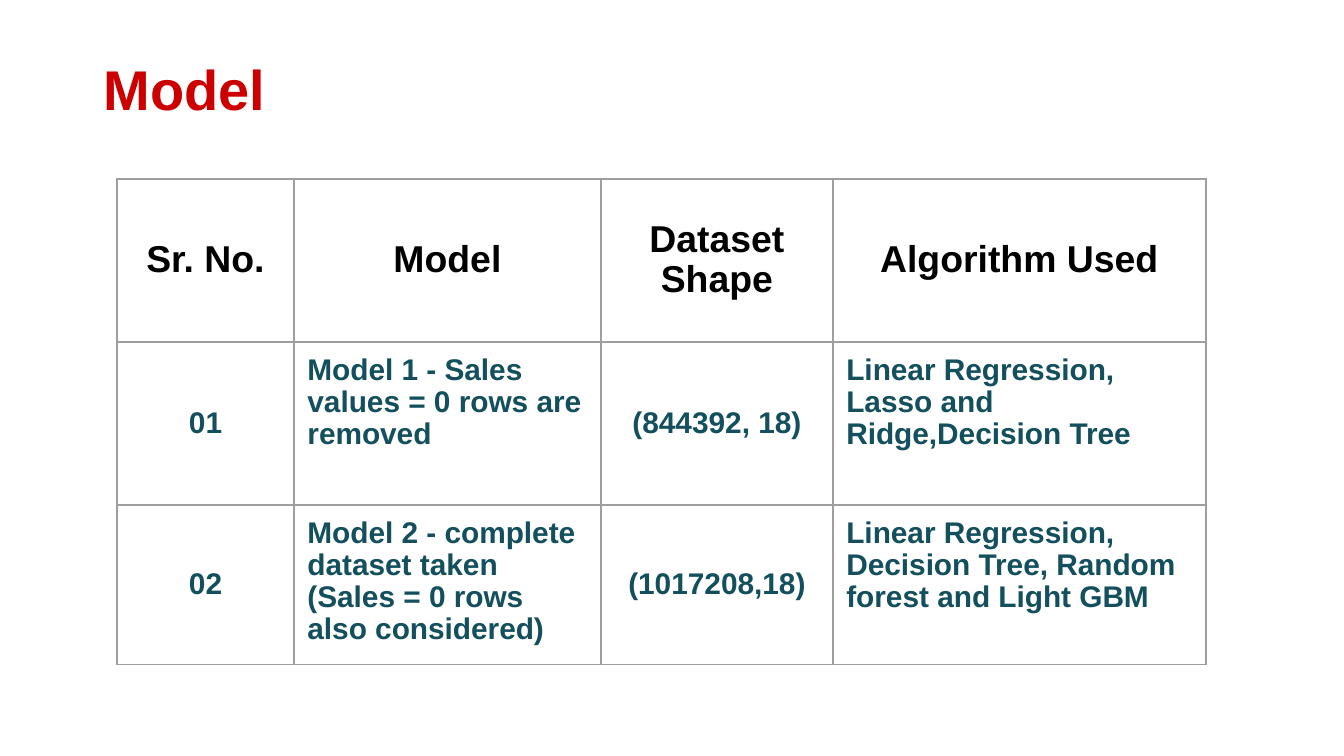
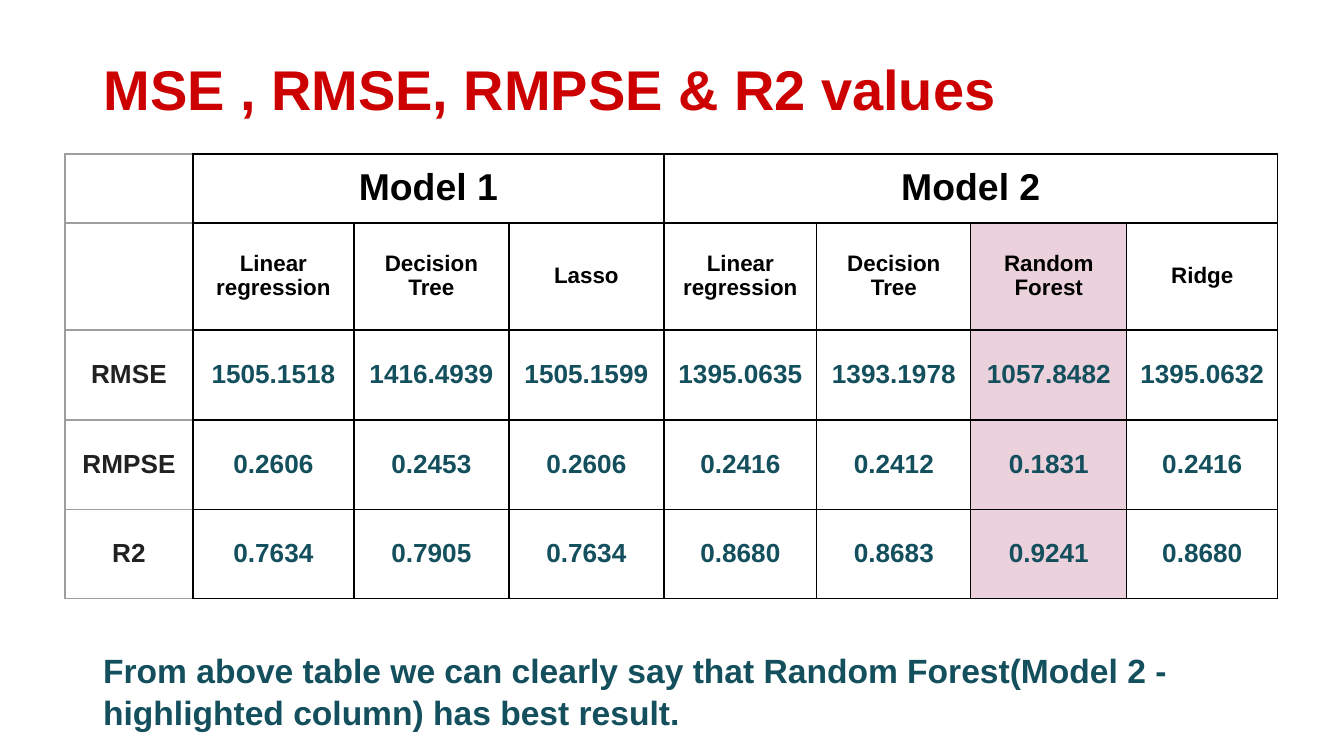
from lxml import etree
from pptx import Presentation
from pptx import util as u
from pptx.dml.color import RGBColor
from pptx.enum import text
from pptx.oxml import ns

RED = RGBColor(0xCC, 0x00, 0x00)
TEAL = RGBColor(0x13, 0x4F, 0x5C)
BLACK = RGBColor(0x00, 0x00, 0x00)
CHARCOAL = RGBColor(0x21, 0x21, 0x21)
GREY = RGBColor(0x9E, 0x9E, 0x9E)
PINK = RGBColor(0xEA, 0xD1, 0xDC)
FONT = "Arial"
INSET = u.Inches(0.1)
CENTER, LEFT = text.PP_ALIGN.CENTER, text.PP_ALIGN.LEFT
MIDDLE, TOP = text.MSO_ANCHOR.MIDDLE, text.MSO_ANCHOR.TOP
BEST_COLUMN = 6


def px(n):
    return u.Emu(round(n * 914400 / 134.4))


def write(tf, content, size, color, align=LEFT, spacing=1.0):
    for i, line in enumerate(content.split("\n")):
        p = tf.add_paragraph() if i else tf.paragraphs[0]
        p.alignment = align
        p.line_spacing = spacing
        r = p.add_run()
        r.text = line
        r.font.name, r.font.size, r.font.bold = FONT, u.Pt(size), True
        r.font.color.rgb = color


def prepare_frame(tf):
    tf.word_wrap = True
    tf.auto_size = text.MSO_AUTO_SIZE.NONE
    tf.vertical_anchor = MIDDLE
    tf.margin_left = tf.margin_right = tf.margin_top = tf.margin_bottom = INSET


def add_titled_slide(prs, title):
    s = prs.slides.add_slide(prs.slide_layouts[5])
    sp = s.shapes.title
    sp.left, sp.top, sp.width, sp.height = px(90), px(22), px(1164), px(132)
    prepare_frame(sp.text_frame)
    write(sp.text_frame, title, 30, RED)
    return s


def add_caption(s, content):
    sp = s.shapes.add_textbox(px(90), px(624), px(1164), px(132))
    prepare_frame(sp.text_frame)
    write(sp.text_frame, content, 18, TEAL, spacing=1.05)


def set_borders(cell, left, right, top, bottom):
    tc_pr = cell._tc.get_or_add_tcPr()
    for i, (side, color) in enumerate(zip("LRTB", (left, right, top, bottom))):
        ln = etree.Element(ns.qn(f"a:ln{side}"), w=str(u.Pt(0.75)))
        fill = etree.SubElement(ln, ns.qn("a:solidFill"))
        etree.SubElement(fill, ns.qn("a:srgbClr"), val=str(color))
        tc_pr.insert(i, ln)


def add_grid(s, left, top, widths, heights):
    frame = s.shapes.add_table(len(heights), len(widths), px(left), px(top),
                               px(sum(widths)), px(sum(heights)))
    table = frame.table
    table.first_row = table.horz_banding = False
    for column, width in zip(table.columns, widths):
        column.width = px(width)
    for row, height in zip(table.rows, heights):
        row.height = px(height)
    return table


def format_cell(cell, content, size, color, align=CENTER, anchor=MIDDLE, fill=None):
    cell.vertical_anchor = anchor
    cell.margin_left = cell.margin_right = INSET
    cell.margin_top = cell.margin_bottom = INSET
    if fill is None:
        cell.fill.background()
    else:
        cell.fill.solid()
        cell.fill.fore_color.rgb = fill
    if content:
        write(cell.text_frame, content, size, color, align, 0.96)


def add_model_table(s):
    rows = [
        ("Sr. No.", "Model", "Dataset Shape", "Algorithm Used"),
        ("01", "Model 1 - Sales values = 0 rows are removed", "(844392, 18)",
         "Linear Regression,\nLasso and Ridge,Decision Tree"),
        ("02", "Model 2 - complete dataset taken (Sales = 0 rows also considered)",
         "(1017208,18)",
         "Linear Regression,\nDecision Tree, Random forest and Light GBM"),
    ]
    table = add_grid(s, 117, 179, (177, 307, 232, 373), (163, 163, 160))
    for i, row in enumerate(rows):
        for j, content in enumerate(row):
            cell = table.cell(i, j)
            size, color = (16, TEAL) if i else (20, BLACK)
            prose = i > 0 and j in (1, 3)
            format_cell(cell, content, size, color, LEFT if prose else CENTER,
                        TOP if prose else MIDDLE)
            set_borders(cell, GREY, GREY, GREY, GREY)


def score_style(i, j):
    if i == 0:
        return 20, BLACK
    if i == 1:
        return 12, BLACK
    return 14, TEAL if j else CHARCOAL


def add_score_table(s):
    rows = [
        ("", "Model 1", "", "", "Model 2", "", "", ""),
        ("", "Linear regression", "Decision Tree", "Lasso", "Linear regression",
         "Decision Tree", "Random Forest", "Ridge"),
        ("RMSE", "1505.1518", "1416.4939", "1505.1599", "1395.0635",
         "1393.1978", "1057.8482", "1395.0632"),
        ("RMPSE", "0.2606", "0.2453", "0.2606", "0.2416", "0.2412", "0.1831", "0.2416"),
        ("R2", "0.7634", "0.7905", "0.7634", "0.8680", "0.8683", "0.9241", "0.8680"),
    ]
    table = add_grid(s, 65, 154, (128, 161, 155, 155, 153, 154, 156, 151),
                     (69, 107, 90, 90, 89))
    for i, row in enumerate(rows):
        for j, content in enumerate(row):
            cell = table.cell(i, j)
            size, color = score_style(i, j)
            format_cell(cell, content, size, color,
                        fill=PINK if i and j == BEST_COLUMN else None)
            edge = BLACK if j else GREY
            set_borders(cell, edge, BLACK, edge, edge)
    for first, last in ((1, 3), (4, 7)):
        table.cell(0, first).merge(table.cell(0, last))


def main():
    prs = Presentation()
    prs.slide_width, prs.slide_height = px(1344), px(756)
    add_model_table(add_titled_slide(prs, "Model"))
    s = add_titled_slide(prs, "MSE , RMSE, RMPSE & R2 values")
    add_score_table(s)
    add_caption(s, "From above table we can clearly say that Random Forest"
                   "(Model 2 - highlighted column) has best result.")
    prs.save("out.pptx")


if __name__ == "__main__":
    main()
